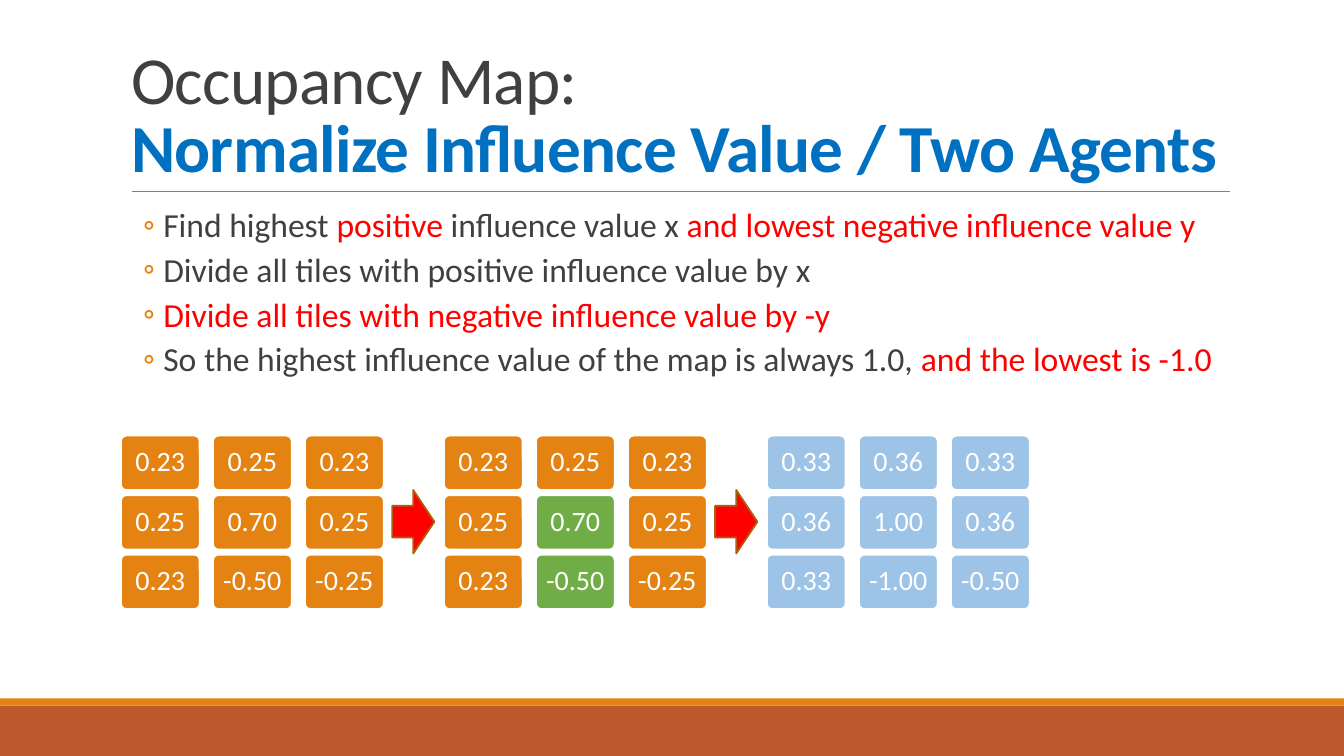
from dataclasses import dataclass

from lxml.etree import SubElement
from pptx import Presentation
from pptx.dml.color import RGBColor
from pptx.enum.shapes import MSO_CONNECTOR as CONN, MSO_SHAPE as SHAPE
from pptx.enum.text import MSO_ANCHOR as ANCHOR, MSO_AUTO_SIZE as AUTO, PP_ALIGN as ALIGN
from pptx.oxml.ns import qn
from pptx.util import Pt

FONT = "Calibri"
ORANGE, RUST, GREEN, SKY = "E48312", "BD582C", "70AD47", "9DC3E6"
RED, BLUE, DARK, WHITE = "FF0000", "0070C0", "404040", "FFFFFF"
TILE_W, TILE_H = 56.2, 38.9
TILE_DX, TILE_DY = 65.75, 42.5
GRID_X, GRID_Y, GRID_DX = 86.4, 311.2, 230.7
ARROW_DX, ARROW_Y, ARROW_W, ARROW_H = 193.7, 350, 30.2, 45.4


@dataclass
class TextRun:
    text: str
    color: str = DARK
    bold: bool = False


@dataclass
class Grid:
    values: list[list[str]]
    fill: str
    marked: tuple[str, ...] = ()


TITLE = [TextRun("Occupancy Map:"),
         TextRun("Normalize Influence Value / Two Agents", BLUE, True)]

BULLETS = [
    [TextRun("Find highest "), TextRun("positive", RED), TextRun(" influence value x "),
     TextRun("and lowest negative influence value y", RED)],
    [TextRun("Divide all tiles with positive influence value by x")],
    [TextRun("Divide all tiles with negative influence value by -y", RED)],
    [TextRun("So the highest influence value of the map is always 1.0, "),
     TextRun("and the lowest is -1.0", RED)],
]

INFLUENCE = [["0.23", "0.25", "0.23"], ["0.25", "0.70", "0.25"], ["0.23", "-0.50", "-0.25"]]
NORMALIZED = [["0.33", "0.36", "0.33"], ["0.36", "1.00", "0.36"], ["0.33", "-1.00", "-0.50"]]
GRIDS = [Grid(INFLUENCE, ORANGE), Grid(INFLUENCE, ORANGE, ("0.70", "-0.50")),
         Grid(NORMALIZED, SKY)]


def rgb(color: str) -> RGBColor:
    return RGBColor.from_string(color)


def add_run(p, run: TextRun, size: float):
    r = p.add_run()
    r.text = run.text
    r.font.name = FONT
    r.font.size = Pt(size)
    r.font.bold = run.bold
    r.font.color.rgb = rgb(run.color)
    return r


def place(sp, x: float, y: float, w: float, h: float) -> None:
    sp.left, sp.top, sp.width, sp.height = Pt(x), Pt(y), Pt(w), Pt(h)


def add_box(shapes, kind, x: float, y: float, w: float, h: float, fill: str, line: str = ""):
    sp = shapes.add_shape(kind, Pt(x), Pt(y), Pt(w), Pt(h))
    sp.shadow.inherit = False
    sp.fill.solid()
    sp.fill.fore_color.rgb = rgb(fill)
    if line:
        sp.line.color.rgb = rgb(line)
        sp.line.width = Pt(1.25)
    else:
        sp.line.fill.background()
    return sp


def add_rule(slide) -> None:
    rule = slide.shapes.add_connector(CONN.STRAIGHT, Pt(94.3), Pt(136.8), Pt(878.4), Pt(136.8))
    rule.line.color.rgb = rgb("808080")
    rule.line.width = Pt(0.5)
    SubElement(rule._element.spPr, qn("a:effectLst"))


def fill_title(sp) -> None:
    place(sp, 86.4, 22.3, 792, 114.5)
    tf = sp.text_frame
    tf.auto_size = AUTO.NONE
    tf.word_wrap = True
    tf.vertical_anchor = ANCHOR.BOTTOM
    p = tf.paragraphs[0]
    p.alignment = ALIGN.LEFT
    p.line_spacing = 0.85
    for i, run in enumerate(TITLE):
        if i:
            p.add_line_break()
        r = add_run(p, run, 48)
        r.font._element.set("spc", "-50")


def fill_body(sp) -> None:
    place(sp, 86.4, 145.4, 792, 316.8)
    tf = sp.text_frame
    tf.auto_size = AUTO.NONE
    tf.word_wrap = True
    tf.vertical_anchor = ANCHOR.TOP
    tf.margin_left = tf.margin_right = 0
    tf.margin_top = tf.margin_bottom = Pt(3.6)
    for i, runs in enumerate(BULLETS):
        p = tf.add_paragraph() if i else tf.paragraphs[0]
        p.level = 1
        pPr = p._p.get_or_add_pPr()
        pPr.set("marL", str(Pt(30.24)))
        pPr.set("indent", str(Pt(-14.4)))
        SubElement(SubElement(pPr, qn("a:buClr")), qn("a:srgbClr"), val=ORANGE)
        SubElement(pPr, qn("a:buFont"), typeface=FONT)
        SubElement(pPr, qn("a:buChar"), char="◦")
        p.line_spacing = 0.9
        p.space_before = Pt(2 if i else 0)
        p.space_after = Pt(4)
        for run in runs:
            add_run(p, run, 24)


def add_tile(shapes, x: float, y: float, value: str, fill: str) -> None:
    sp = add_box(shapes, SHAPE.ROUNDED_RECTANGLE, x, y, TILE_W, TILE_H, fill, WHITE)
    sp.adjustments[0] = 0.1
    tf = sp.text_frame
    tf.word_wrap = False
    tf.vertical_anchor = ANCHOR.MIDDLE
    tf.margin_left = tf.margin_right = tf.margin_top = tf.margin_bottom = Pt(5.76)
    p = tf.paragraphs[0]
    p.alignment = ALIGN.CENTER
    p.line_spacing = 0.9
    add_run(p, TextRun(value, WHITE), 20)


def add_grid(slide, grid: Grid, left: float) -> None:
    shapes = slide.shapes.add_group_shape().shapes
    for row, values in enumerate(grid.values):
        for col, value in enumerate(values):
            fill = GREEN if value in grid.marked else grid.fill
            add_tile(shapes, left + col * TILE_DX, GRID_Y + row * TILE_DY, value, fill)


def main() -> None:
    prs = Presentation()
    prs.slide_width, prs.slide_height = Pt(960), Pt(540)
    slide = prs.slides.add_slide(prs.slide_layouts[1])
    fill_title(slide.shapes.title)
    fill_body(slide.placeholders[1])
    add_box(slide.shapes, SHAPE.RECTANGLE, 0, 504, 960, 36, RUST)
    add_box(slide.shapes, SHAPE.RECTANGLE, 0, 498.8, 960, 5.2, ORANGE)
    add_rule(slide)
    for i, grid in enumerate(GRIDS):
        left = GRID_X + i * GRID_DX
        add_grid(slide, grid, left)
        if i < len(GRIDS) - 1:
            add_box(slide.shapes, SHAPE.RIGHT_ARROW, left + ARROW_DX, ARROW_Y,
                    ARROW_W, ARROW_H, RED, "A9610D")
    prs.save("out.pptx")


if __name__ == "__main__":
    main()
